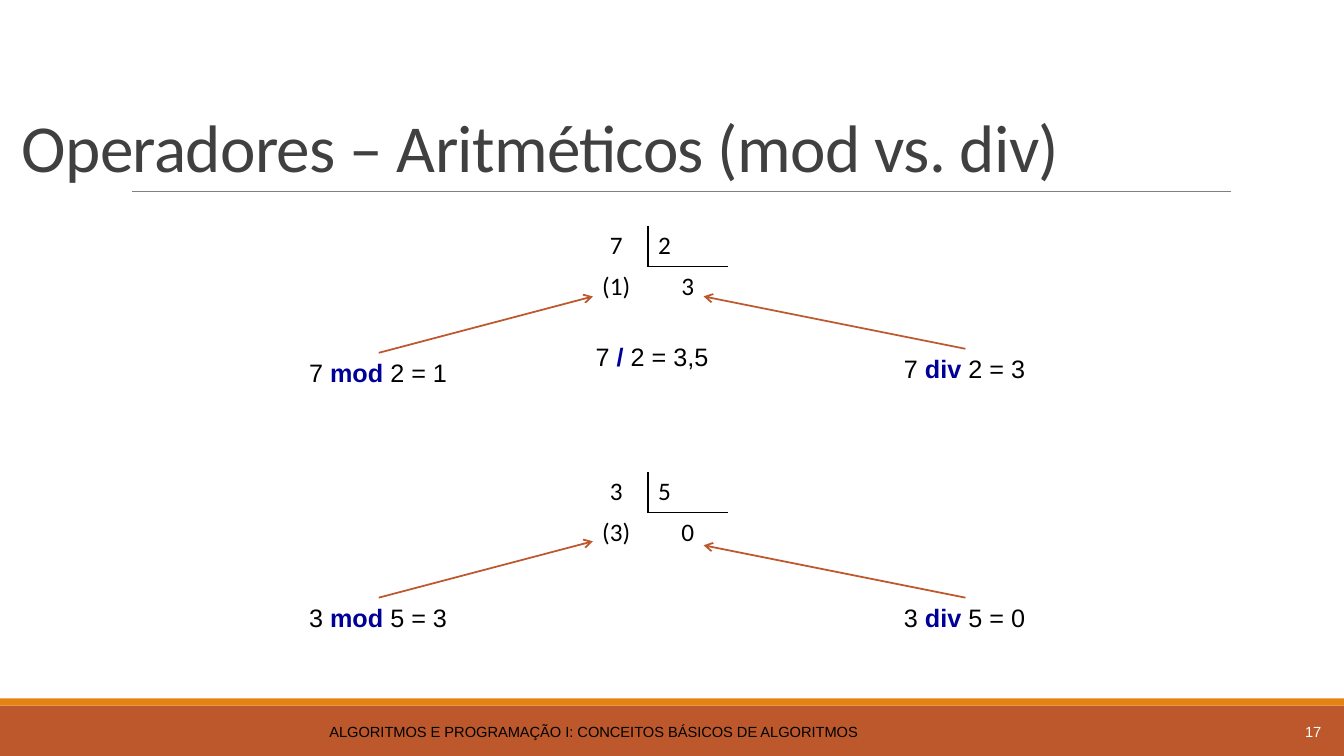
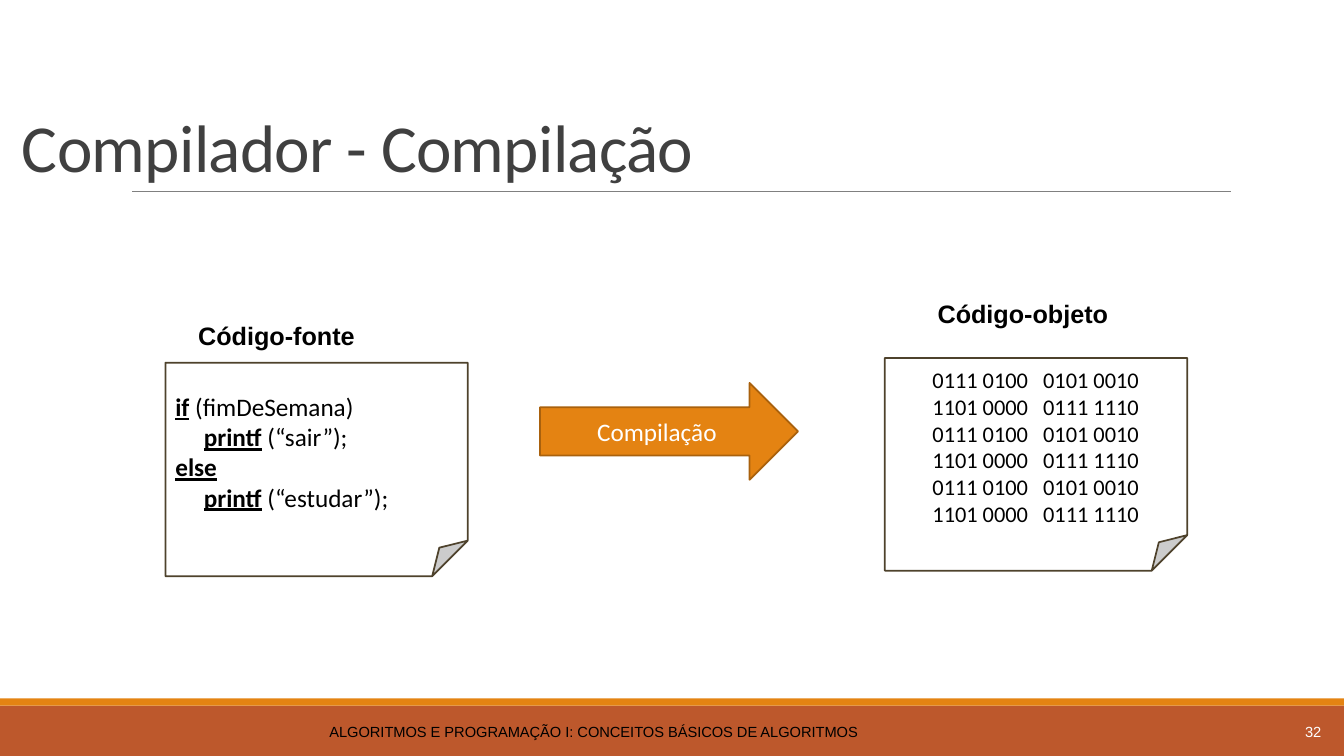
from pptx import Presentation
from pptx import util as u
from pptx.dml.color import RGBColor
from pptx.enum import shapes, text
from pptx.oxml import parse_xml
from pptx.oxml.ns import nsdecls, qn

Cm = u.Cm
COLORS = {
    "band": "BD582C", "accent": "E48312", "accent_edge": "A9610D",
    "rule": "808080", "title": "404040", "black": "000000", "white": "FFFFFF",
    "keyword": "000099", "paper_edge": "4E422C",
}
FOOTER = "ALGORITMOS E PROGRAMAÇÃO I: CONCEITOS BÁSICOS DE ALGORITMOS"
LEFT, CENTER, RIGHT = text.PP_ALIGN.LEFT, text.PP_ALIGN.CENTER, text.PP_ALIGN.RIGHT
TOP, MIDDLE = text.MSO_ANCHOR.TOP, text.MSO_ANCHOR.MIDDLE
KEYWORD = {"bold": True, "color": "keyword"}
CODE_WORD = {"bold": True, "underline": True}


def write(frame, lines, font, align=LEFT, anchor=TOP, wrap=True):
    """Fill a text frame; each line is a list of (text, format changes)."""
    frame.word_wrap = wrap
    frame.vertical_anchor = anchor
    for number, line in enumerate(lines):
        para = frame.add_paragraph() if number else frame.paragraphs[0]
        para.alignment = align
        for words, changes in line:
            span = para.add_run()
            span.text = words
            style = {"color": "black", **font, **changes}
            span.font.color.rgb = RGBColor.from_string(COLORS[style.pop("color")])
            for name, value in style.items():
                setattr(span.font, name, value)


def draw(page, kind, place, fill=None, edge=None, width=1.25):
    """Add a preset shape, or a straight line when kind is None."""
    place = [Cm(length) for length in place]
    if kind is None:
        item = page.shapes.add_connector(shapes.MSO_CONNECTOR.STRAIGHT, *place)
    else:
        item = page.shapes.add_shape(kind, *place)
        item.shadow.inherit = False
        item.fill.solid()
        item.fill.fore_color.rgb = RGBColor.from_string(COLORS[fill])
    if edge:
        item.line.color.rgb = RGBColor.from_string(COLORS[edge])
        item.line.width = u.Pt(width)
    else:
        item.line.fill.background()
    if kind is None:
        item.element.spPr.append(parse_xml(f"<a:effectLst {nsdecls('a')}/>"))
    return item


arial = {"name": "Arial", "size": u.Pt(18)}
calibri = {"name": "Calibri", "size": u.Pt(18)}
small = {"name": "Arial", "size": u.Pt(10.5)}

deck = Presentation()
deck.slide_width, deck.slide_height = Cm(33.87), Cm(19.05)
layout = deck.slide_layouts[5]

# Titles and footers
pages = []
for heading, page_number in [("Operadores – Aritméticos (mod vs. div)", "17"),
                             ("Compilador - Compilação", "32")]:
    page = deck.slides.add_slide(layout)
    pages.append(page)
    title = page.shapes.title
    title.left, title.top, title.width, title.height = map(Cm, (0.3, 0.79, 33.27, 4.04))
    write(title.text_frame, [[(heading, {})]],
          {"name": "Calibri", "size": u.Pt(48), "color": "title"},
          anchor=text.MSO_ANCHOR.BOTTOM)
    title.text_frame.auto_size = text.MSO_AUTO_SIZE.NONE
    heading_para = title.text_frame.paragraphs[0]
    heading_para.line_spacing = 0.85
    heading_para.runs[0].font.element.set("spc", "-50") if hasattr(
        heading_para.runs[0].font, "element") else heading_para.runs[0].font._element.set("spc", "-50")
    for words, left, width, align, color in [
            (FOOTER, 0.3, 29.34, CENTER, "black"),
            (page_number, 29.92, 3.63, RIGHT, "white")]:
        box = page.shapes.add_textbox(Cm(left), Cm(17.93), Cm(width), Cm(1.02))
        write(box.text_frame, [[(words, {"color": color})]], small, align, MIDDLE)

division_page, compiler_page = pages

# Bands and title rule, moved to the shared layout
rectangle = shapes.MSO_SHAPE.RECTANGLE
for item in [draw(division_page, rectangle, (0, 17.78, 33.87, 1.27), "band"),
             draw(division_page, rectangle, (0, 17.6, 33.87, 0.18), "accent"),
             draw(division_page, None, (3.33, 4.83, 31.01, 4.83), edge="rule", width=0.5)]:
    layout.shapes.element.append(item.element)

# Divisions: table, then mod and div results with arrows
CELL_EDGES = {(0, 0): "R", (0, 1): "LB", (1, 1): "T"}
for dividend, divisor, table_top, mod_top, div_top in [
        (7, 2, 5.69, 8.89, 8.79), (3, 5, 11.89, 15.06, 15.06)]:
    quotient, remainder = divmod(dividend, divisor)
    frame = division_page.shapes.add_table(2, 2, Cm(14.73), Cm(table_top), Cm(3.61), Cm(2.06))
    table = frame.table
    table.first_row = table.horz_banding = False
    for style_id in frame.element.iter(qn("a:tableStyleId")):
        style_id.text = "{2D5ABB26-0587-4C30-8999-92F81FD0307C}"
    table.columns[0].width, table.columns[1].width = Cm(1.6), Cm(2.01)
    values = [[dividend, divisor], [f"({remainder})", quotient]]
    for row, row_values in enumerate(values):
        for column, value in enumerate(row_values):
            cell = table.cell(row, column)
            cell.fill.background()
            write(cell.text_frame, [[(str(value), {})]], calibri,
                  LEFT if (row, column) == (0, 1) else CENTER)
            for side in reversed(CELL_EDGES.get((row, column), "")):
                cell._tc.get_or_add_tcPr().insert(0, parse_xml(
                    f'<a:ln{side} {nsdecls("a")} w="12700"><a:solidFill>'
                    f'<a:srgbClr val="{COLORS["black"]}"/></a:solidFill></a:ln{side}>'))

    results = [("mod", remainder, 7.54, mod_top, 4.01, (14.94, mod_top - 1.42)),
               ("div", quotient, 22.53, div_top, 3.6, (17.73, div_top - 1.32))]
    if dividend == 7:
        results.append(("/", "3,5", 14.76, 8.48, 3.38, None))
    for operator, result, left, top, width, tip in results:
        box = division_page.shapes.add_textbox(Cm(left), Cm(top), Cm(width), Cm(1.02))
        write(box.text_frame, [[(f"{dividend} ", {}), (operator, KEYWORD),
                                (f" {divisor} = {result}", {})]], arial, wrap=False)
        box.text_frame.auto_size = text.MSO_AUTO_SIZE.SHAPE_TO_FIT_TEXT
        if tip:
            arrow = draw(division_page, None, (left + width / 2, top, *tip), edge="band")
            arrow.element.spPr.find(qn("a:ln")).append(
                parse_xml(f'<a:tailEnd {nsdecls("a")} type="arrow"/>'))

# Source and object code sheets
source_lines = [
    [("if", CODE_WORD), (" (fimDeSemana)", {})],
    [("     ", {}), ("printf", CODE_WORD), (" (“sair”);", {})],
    [("else", CODE_WORD)],
    [("     ", {}), ("printf", CODE_WORD), (" (“estudar”);", {})],
]
object_lines = [[("0111 0100\t0101 0010", {})], [("1101 0000\t0111 1110", {})]] * 3
sheets = [
    ("Código-fonte", (4.72, 7.95, 4.5, 1.02), (4.17, 9.14, 7.62, 5.38), source_lines, 18),
    ("Código-objeto", (22.96, 7.39, 5.64, 1.4), (22.3, 9.02, 7.62, 5.36), object_lines, 16),
]
for label, label_place, sheet_place, lines, size in sheets:
    sheet = draw(compiler_page, shapes.MSO_SHAPE.FOLDED_CORNER, sheet_place,
                 "white", "paper_edge")
    write(sheet.text_frame, lines, {**calibri, "size": u.Pt(size)}, anchor=MIDDLE)
    if lines is object_lines:
        sheet.text_frame.margin_left = Cm(1.2)
        for para in sheet.text_frame.paragraphs:
            para._p.get_or_add_pPr().append(parse_xml(
                f'<a:tabLst {nsdecls("a")}><a:tab pos="{Cm(2.79)}" algn="l"/></a:tabLst>'))
    box = compiler_page.shapes.add_textbox(*map(Cm, label_place))
    write(box.text_frame, [[(label, {"bold": True})]], arial, CENTER, wrap=False)

# Compilation arrow
arrow = draw(compiler_page, shapes.MSO_SHAPE.RIGHT_ARROW, (13.61, 9.65, 6.5, 2.44),
             "accent", "accent_edge")
write(arrow.text_frame, [[("Compilação", {"color": "white"})]], calibri, CENTER, MIDDLE)

deck.save("out.pptx")
